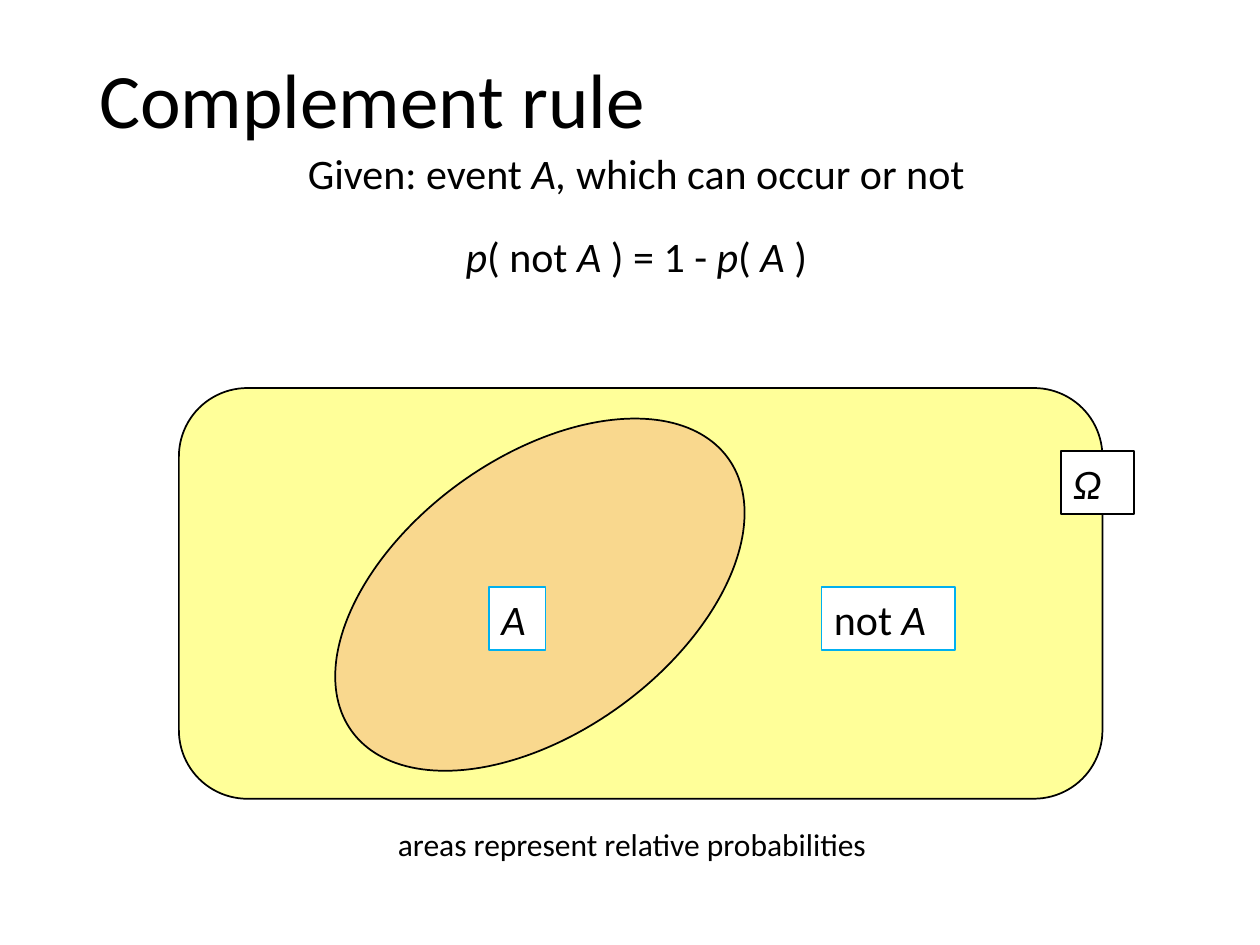
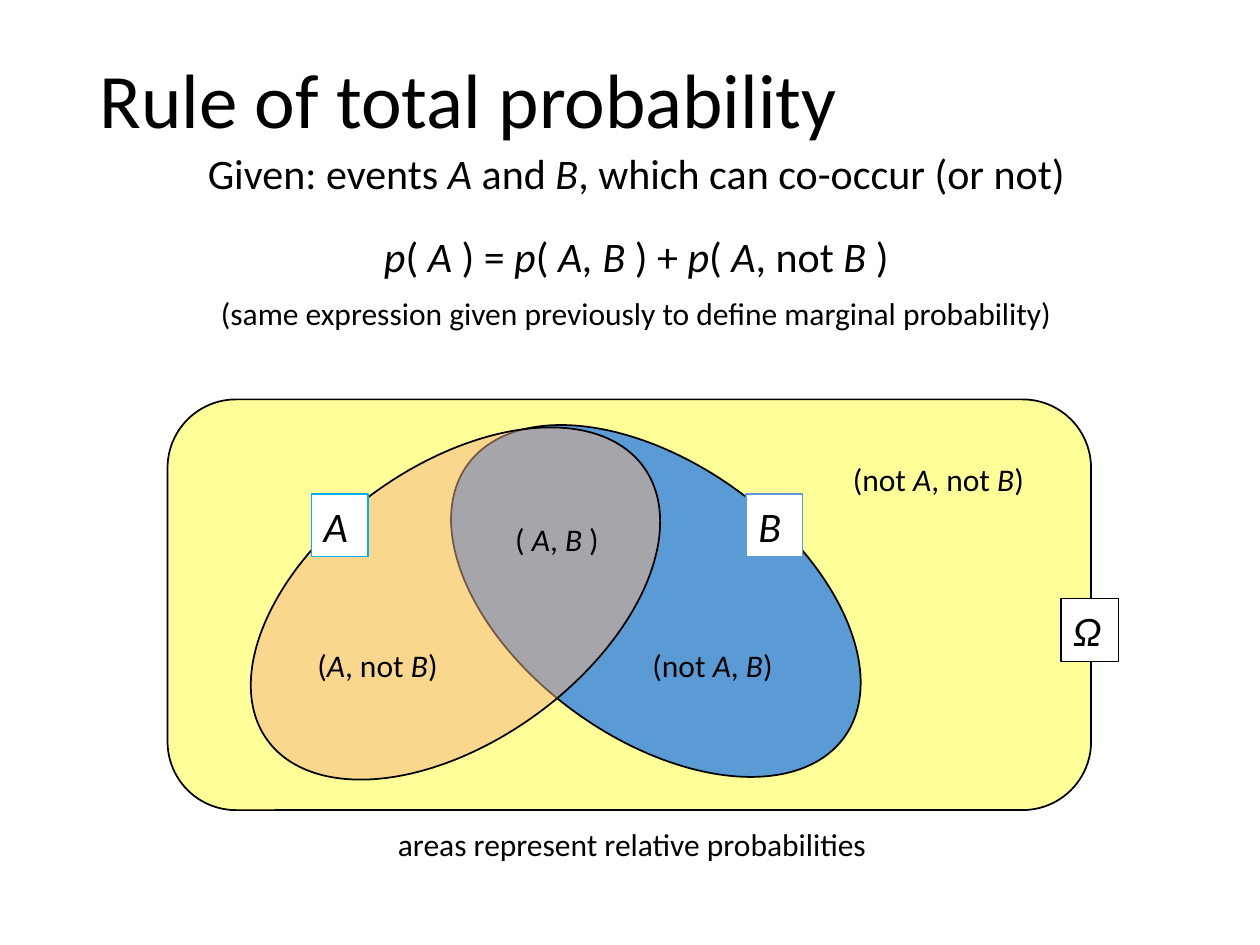
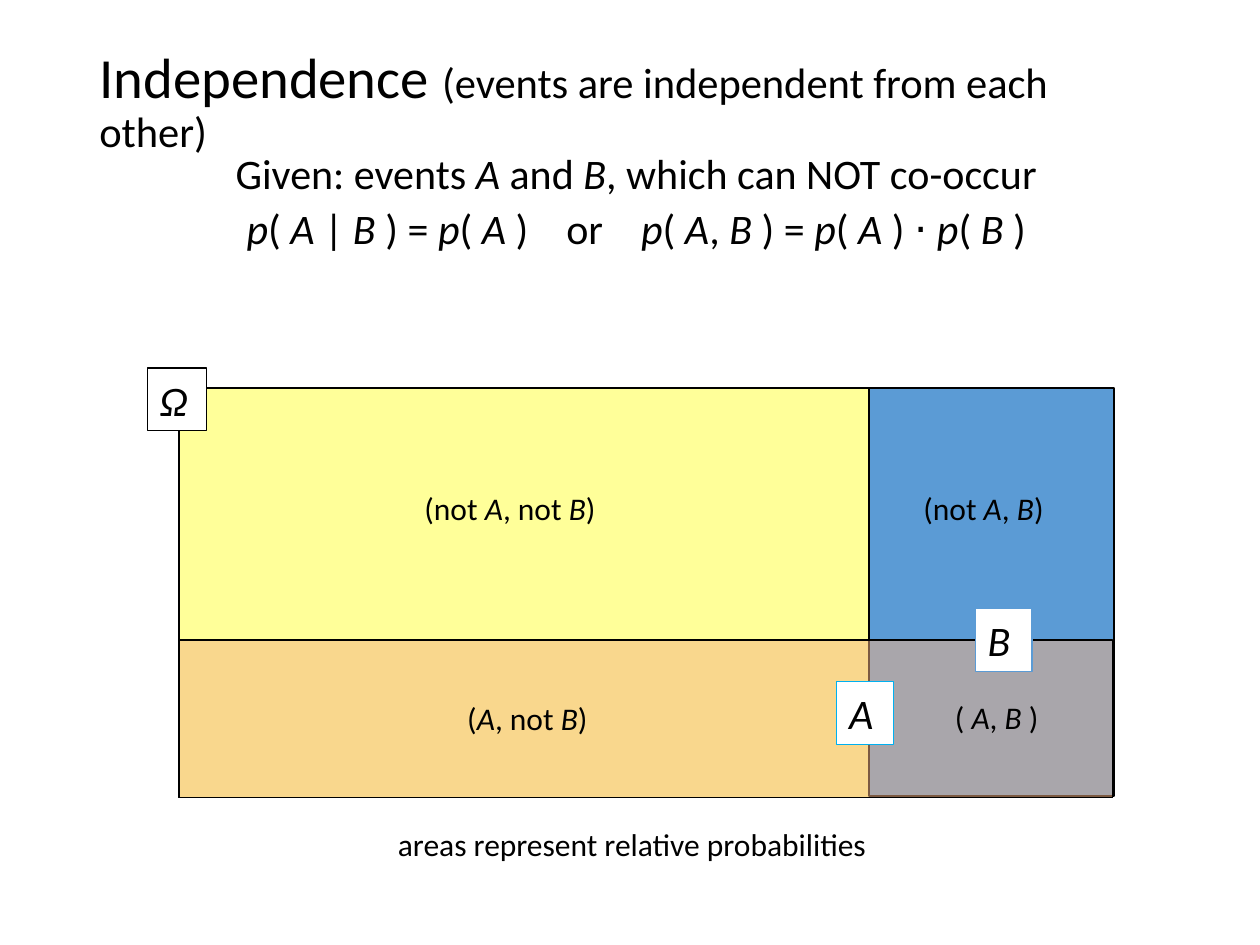
from lxml.etree import SubElement
from pptx import Presentation
from pptx.dml.color import RGBColor
from pptx.enum.shapes import MSO_SHAPE
from pptx.enum.text import MSO_ANCHOR, PP_ALIGN
from pptx.oxml.ns import qn
from pptx.util import Inches, Pt

COLORS = {
    "text": "000000", "outline": "000000", "label": "FFFFFF", "omega": "FFFF99",
    "a": "F4B183", "b": "5B9BD5", "a_edge": "00B0F0",
}
RECT, ROUND, OVAL = MSO_SHAPE.RECTANGLE, MSO_SHAPE.ROUNDED_RECTANGLE, MSO_SHAPE.OVAL
BODY, SMALL = 24, 18
FORMULA_GAP = 21


def write(shape, paras, **fmt):
    """Each paragraph is (space before, [(markup, size)]); *stars* mark italics."""
    tf = shape.text_frame
    tf.word_wrap = True
    tf.vertical_anchor = fmt.get("anchor", MSO_ANCHOR.TOP)
    for i, (before, runs) in enumerate(paras):
        p = tf.paragraphs[0] if i == 0 else tf.add_paragraph()
        layout = {"alignment": fmt.get("align", PP_ALIGN.LEFT), "space_before": Pt(before),
                  "line_spacing": fmt.get("spacing", 1.0)}
        for name, value in layout.items():
            setattr(p, name, value)
        for markup, size in runs:
            for n, part in enumerate(markup.split("*")):
                if not part:
                    continue
                r = p.add_run()
                r.text = part
                font = {"name": "Calibri", "size": Pt(size), "italic": n % 2 == 1}
                for name, value in font.items():
                    setattr(r.font, name, value)
                r.font.color.rgb = RGBColor.from_string(COLORS["text"])
                # A starred space is a wide gap
                if part == " ":
                    r.font._element.set("spc", "1630")


def add_box(s, kind, at, fill, edge="outline", width=1, rotation=0, opacity=100):
    sp = s.shapes.add_shape(kind, *map(Inches, at))
    sp.shadow.inherit = False
    sp.rotation = rotation
    sp.fill.solid()
    sp.fill.fore_color.rgb = RGBColor.from_string(COLORS[fill])
    if opacity < 100:
        color = sp._element.spPr.find(qn("a:solidFill"))[0]
        SubElement(color, qn("a:alpha")).set("val", str(opacity * 1000))
    sp.line.color.rgb = RGBColor.from_string(COLORS[edge])
    sp.line.width = Pt(width)
    return sp


# Content: areas are drawn first, then regions (plain text), then tags (white boxes)
slides = [
    {
        "title": [("Complement rule", 44)],
        "body": [(0, "Given: event *A,* which can occur or not", BODY),
                 (FORMULA_GAP, "*p*( not *A* ) = 1 - *p*( *A* )", BODY)],
        "areas": [
            dict(kind=ROUND, at=(1.42, 3.08, 7.33, 3.26), fill="omega"),
            dict(kind=OVAL, at=(2.44, 3.63, 3.69, 2.18), fill="a", rotation=324, opacity=49),
        ],
        "regions": [],
        "tags": [("*A*", 3.88, 4.66, 0.45, "a_edge"), ("*Ω*", 8.42, 3.58, 0.58, "outline"),
                 ("not *A*", 6.52, 4.66, 1.06, "a_edge")],
    },
    {
        "title": [("Rule of total probability", 44)],
        "body": [(0, "Given: events *A* and *B*, which can co-occur (or not)", BODY),
                 (FORMULA_GAP, "*p*( *A* ) = *p*( *A, B* ) + *p*( *A*, not *B* )", BODY),
                 (10, "(same expression given previously to define marginal probability)", SMALL)],
        "areas": [
            dict(kind=ROUND, at=(1.33, 3.17, 7.33, 3.26), fill="omega"),
            dict(kind=OVAL, at=(3.36, 3.68, 3.69, 2.18), fill="b", rotation=35.9),
            dict(kind=OVAL, at=(1.77, 3.7, 3.69, 2.18), fill="a", rotation=324, opacity=49),
        ],
        "regions": [("(*A*, not *B*)", 2.42, 5.08, 1.33), ("( *A*, *B* )", 3.99, 4.08, 1.01),
                    ("(not *A*, *B*)", 5.08, 5.08, 1.33), ("(not *A*, not *B*)", 6.67, 3.6, 1.83)],
        "tags": [("*B*", 5.92, 3.92, 0.45, "b"), ("*A*", 2.47, 3.92, 0.45, "a_edge"),
                 ("*Ω*", 8.42, 4.75, 0.46, "outline")],
    },
    {
        "title": [("Independence ", 32.4), ("(events are independent from each other)", 24.3)],
        "body": [(0, "Given: events *A* and *B*, which can NOT co-occur", BODY),
                 (5, "*p*( *A* | *B* ) = *p*( *A *)* *or* **p*( *A*, *B* ) = "
                     "*p*( *A *) *⋅ p*( *B *)", BODY)],
        "areas": [
            dict(kind=RECT, at=(1.42, 3.08, 7.41, 3.25), fill="omega"),
            dict(kind=RECT, at=(6.9, 3.08, 1.94, 3.24), fill="b"),
            dict(kind=RECT, at=(1.42, 5.08, 7.41, 1.25), fill="a", opacity=51),
        ],
        "regions": [("(*A*, not *B*)", 3.61, 5.5, 1.35), ("( *A*, *B* )", 7.48, 5.49, 1.02),
                    ("(not *A*, *B*)", 7.23, 3.83, 1.35), ("(not *A*, not *B*)", 3.27, 3.83, 1.85)],
        "tags": [("*B*", 7.74, 4.83, 0.45, "b"), ("*A*", 6.64, 5.41, 0.45, "a_edge"),
                 ("*Ω*", 1.17, 2.92, 0.47, "outline")],
    },
]

prs = Presentation()
prs.slide_width, prs.slide_height = Inches(10), Inches(7.5)

for page in slides:
    s = prs.slides.add_slide(prs.slide_layouts[6])

    # Statement and title
    body = s.shapes.add_textbox(*map(Inches, (0.5, 1.17, 9.1, 1.58)))
    write(body, [(before, [(markup, size)]) for before, markup, size in page["body"]],
          align=PP_ALIGN.CENTER, spacing=0.9)
    title = s.shapes.add_textbox(*map(Inches, (0.69, 0.32, 8.62, 1)))
    write(title, [(0, page["title"])], anchor=MSO_ANCHOR.MIDDLE, spacing=0.9)

    # Diagram
    for area in page["areas"]:
        add_box(s, **area)

    # Region names and caption
    caption = ("areas represent relative probabilities", 3.06, 6.5, 4.27)
    for markup, left, top, width in page["regions"] + [caption]:
        tb = s.shapes.add_textbox(*map(Inches, (left, top, width, 0.4)))
        write(tb, [(0, [(markup, SMALL)])])

    # Event tags
    for markup, left, top, width, edge in page["tags"]:
        tag = add_box(s, RECT, (left, top, width, 0.5), "label", edge, 0.75)
        write(tag, [(0, [(markup, BODY)])])

prs.save("out.pptx")
